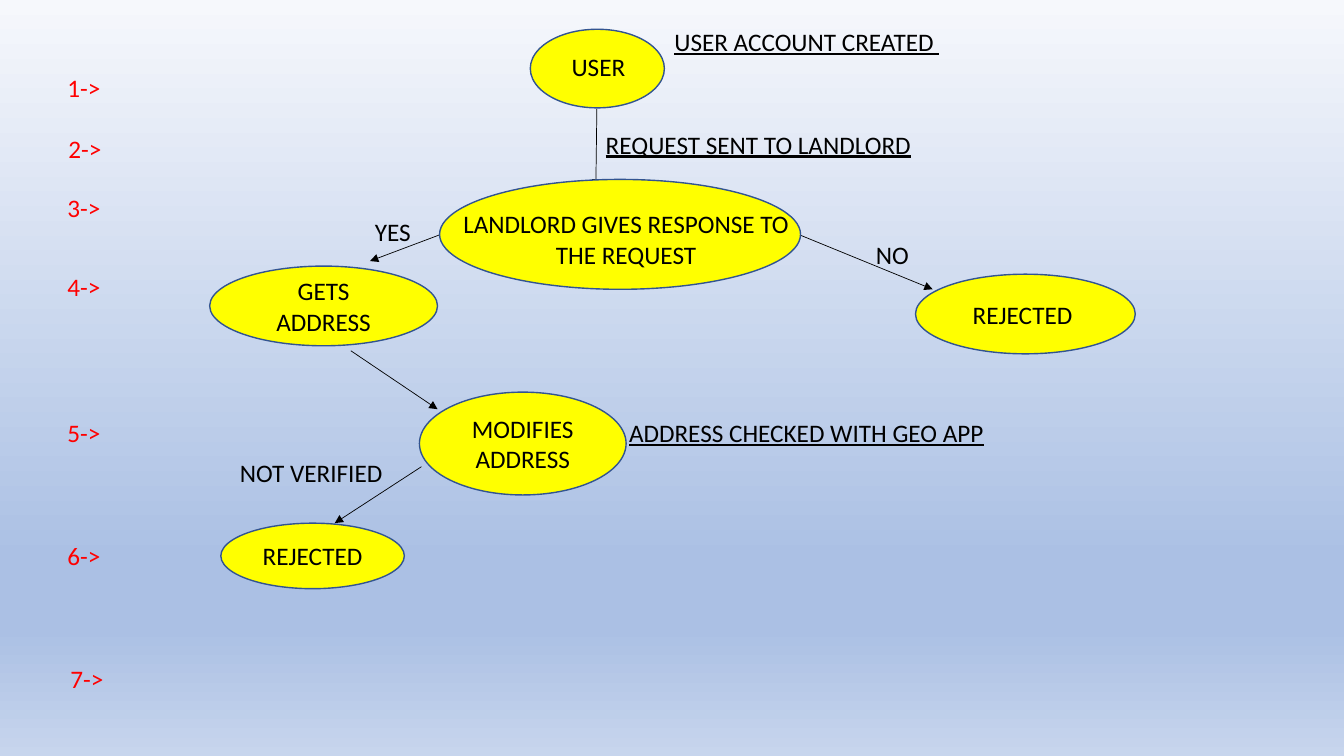
import pptx
import pptx.util
import pptx.dml.color
import pptx.enum.shapes
import pptx.enum.text
import pptx.oxml.ns
import pptx.oxml.xmlchemy

Inches = pptx.util.Inches
Pt = pptx.util.Pt
RGBColor = pptx.dml.color.RGBColor
Align = pptx.enum.text.PP_ALIGN
Anchor = pptx.enum.text.MSO_ANCHOR
qn = pptx.oxml.ns.qn
make = pptx.oxml.xmlchemy.OxmlElement

BLACK = RGBColor(0x00, 0x00, 0x00)
RED = RGBColor(0xFF, 0x00, 0x00)
YELLOW = RGBColor(0xFF, 0xFF, 0x00)
BLUE = RGBColor(0x32, 0x54, 0x91)
PALE = RGBColor(0xF6, 0xF8, 0xFC)
MID = RGBColor(0xAB, 0xC0, 0xE4)
SOFT = RGBColor(0xC7, 0xD5, 0xED)
STOPS = [(0, PALE), (74, MID), (83, MID), (100, SOFT)]


def write(frame, text, color=BLACK, under=None, align=Align.LEFT, wrap=True):
    """Fill a text frame with one formatted run."""
    frame.word_wrap = wrap
    para = frame.paragraphs[0]
    para.alignment = align
    run = para.add_run()
    run.text = text
    run.font.name = "Calibri"
    run.font.size = Pt(18)
    run.font.color.rgb = color
    run.font.underline = under


def label(slide, left, top, width, text, height=0.4, **style):
    """Add a text box."""
    box = slide.shapes.add_textbox(
        Inches(left), Inches(top), Inches(width), Inches(height))
    write(box.text_frame, text, **style)


def node(slide, left, top, width, height, text):
    """Add a yellow ellipse with centred text."""
    oval = slide.shapes.add_shape(
        pptx.enum.shapes.MSO_SHAPE.OVAL,
        Inches(left), Inches(top), Inches(width), Inches(height))
    oval.shadow.inherit = False
    oval.fill.solid()
    oval.fill.fore_color.rgb = YELLOW
    oval.line.color.rgb = BLUE
    oval.line.width = Pt(1)
    oval.text_frame.vertical_anchor = Anchor.MIDDLE
    if text:
        write(oval.text_frame, text, align=Align.CENTER)


def arrow(slide, *ends):
    """Add a thin line with an arrowhead at its end."""
    line = slide.shapes.add_connector(
        pptx.enum.shapes.MSO_CONNECTOR.STRAIGHT, *map(Inches, ends))
    line.line.color.rgb = BLACK
    line.line.width = Pt(0.5)
    tail = make("a:tailEnd")
    tail.set("type", "triangle")
    props = line._element.spPr
    props.find(qn("a:ln")).append(tail)
    props.append(make("a:effectLst"))


def paint(slide):
    """Give the slide its vertical gradient."""
    fill = slide.background.fill
    fill.gradient()
    fill.gradient_angle = 270
    stops = slide.element.find(".//" + qn("a:gsLst"))
    for old in list(stops):
        stops.remove(old)
    for place, color in STOPS:
        stop = make("a:gs")
        stop.set("pos", str(place * 1000))
        tint = make("a:srgbClr")
        tint.set("val", str(color))
        stop.append(tint)
        stops.append(stop)


def steps(slide, left, top):
    """Number the levels down the left side."""
    places = [(0, 0), (0.01, 0.6), (0, 1.19), (0, 1.97),
              (0, 3.42), (0, 4.64), (0.03, 5.86)]
    for count, (x, y) in enumerate(places, 1):
        label(slide, left + x, top + y, 0.8, f"{count}->", color=RED)


def flow(slide, left, top):
    """Draw the chart of arrows, nodes and labels."""
    arrows = [(3.92, 1.08, 3.91, 1.86), (5.93, 2.33, 7.25, 2.87),
              (2.36, 2.33, 1.67, 2.59), (1.48, 3.48, 2.34, 4.06),
              (2.18, 4.63, 1.32, 5.19)]
    nodes = [(3.26, 0.29, 1.33, 0.78, ""),
             (2.36, 1.78, 3.58, 1.09, ""),
             (7.08, 2.72, 2.18, 0.79, "REJECTED "),
             (0.08, 2.64, 2.26, 0.79, "GETS ADDRESS"),
             (2.16, 3.89, 2.05, 1.02, "MODIFIES ADDRESS"),
             (0.19, 5.19, 1.82, 0.65, "REJECTED")]
    notes = [(4.59, 0.21, 2.91, "USER ACCOUNT CREATED "),
             (3.91, 1.23, 3.26, "REQUEST SENT TO LANDLORD"),
             (4.14, 4.09, 3.75, "ADDRESS CHECKED WITH GEO APP")]
    tags = [(3.57, 0.46, 0.91, "USER"), (6.59, 2.33, 0.53, "NO"),
            (1.62, 2.1, 0.56, "YES"), (0.28, 4.49, 1.75, "NOT VERIFIED ")]
    for x, y, right, low in arrows:
        arrow(slide, left + x, top + y, left + right, top + low)
    for x, y, *rest in nodes:
        node(slide, left + x, top + y, *rest)
    for x, y, *rest in notes:
        label(slide, left + x, top + y, *rest, under=True)
    for x, y, *rest in tags:
        label(slide, left + x, top + y, *rest)
    label(slide, left + 2.48, top + 2.02, 3.46,
          "LANDLORD GIVES RESPONSE TO THE REQUEST",
          height=0.71, align=Align.CENTER)


def main():
    """Build and save the slide."""
    deck = pptx.Presentation()
    deck.slide_width = Inches(13.33)
    deck.slide_height = Inches(7.5)
    slide = deck.slides.add_slide(deck.slide_layouts[6])
    paint(slide)
    flow(slide, 2, 0)
    steps(slide, 0.57, 0.67)
    deck.save("out.pptx")


main()
